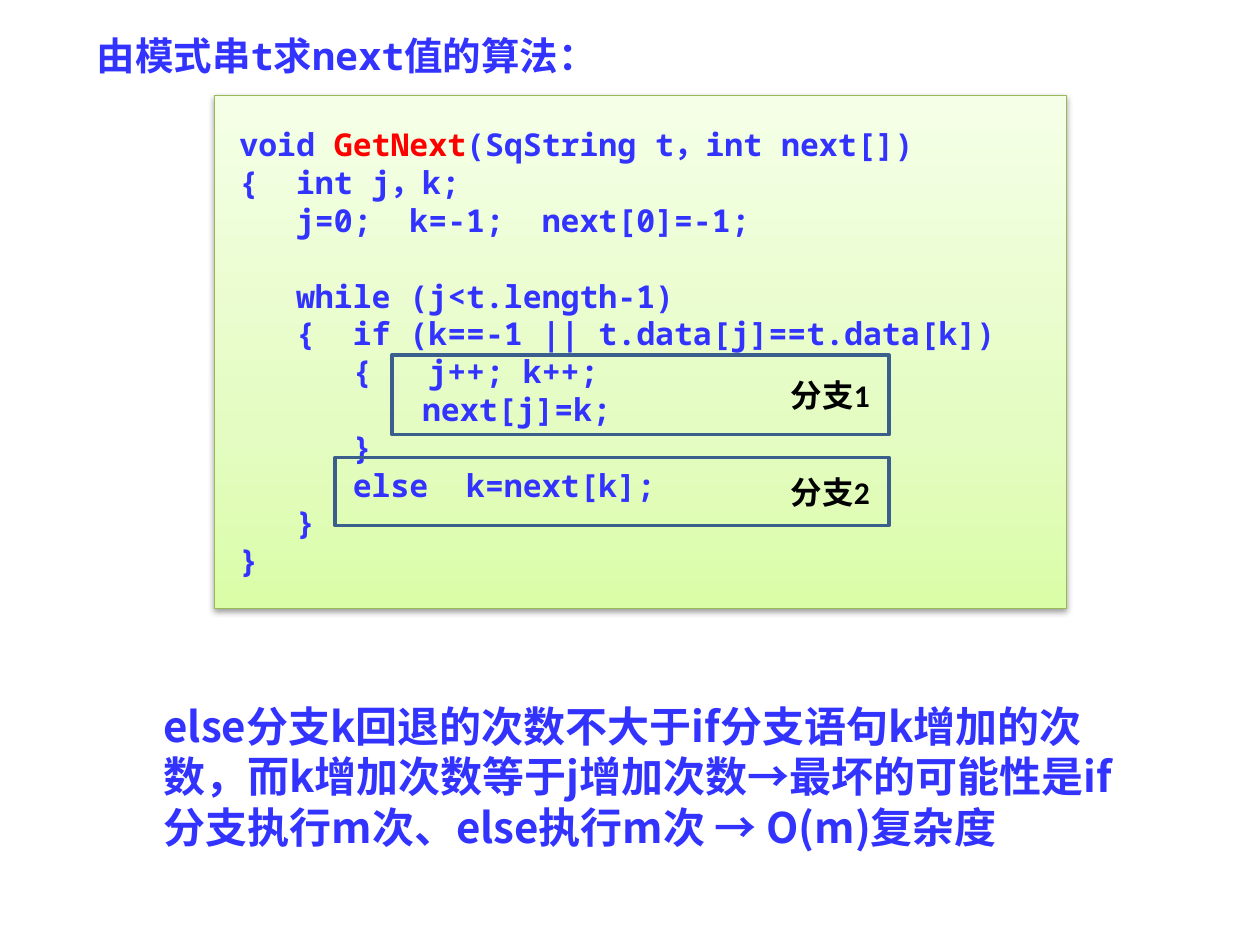
from copy import deepcopy
from dataclasses import dataclass

from lxml import etree
from pptx import Presentation
from pptx.dml.color import RGBColor
from pptx.enum import shapes, text
from pptx.oxml import ns
from pptx.util import Pt

BLUE = RGBColor(0x33, 0x33, 0xFF)
RED = RGBColor(0xFF, 0x00, 0x00)
BLACK = RGBColor(0x00, 0x00, 0x00)
FRAME = RGBColor(0x3A, 0x5F, 0x8C)
CODE_EDGE = RGBColor(0x98, 0xB9, 0x55)
GREEN_DEEP = RGBColor(0xDA, 0xFD, 0xA7)
GREEN_MID = RGBColor(0xE4, 0xFC, 0xC2)
GREEN_PALE = RGBColor(0xF5, 0xFF, 0xE7)
MONO = "Noto Sans Mono"
SANS = "Noto Sans CJK SC"
LABEL_FONT = "Calibri"


@dataclass(frozen=True)
class Rect:
    left: float
    top: float
    width: float
    height: float

    def lengths(self) -> tuple:
        return Pt(self.left), Pt(self.top), Pt(self.width), Pt(self.height)


@dataclass(frozen=True)
class Style:
    font: str
    size: float
    color: RGBColor


@dataclass(frozen=True)
class Branch:
    label: str
    rect: Rect


TITLE = Style(MONO, 22, BLUE)
CODE = Style(MONO, 18, BLUE)
FUNCTION_NAME = Style(MONO, 18, RED)
LABEL = Style(LABEL_FONT, 18, BLACK)
CONCLUSION = Style(SANS, 24, BLUE)

SIGNATURE = [
    ("void ", CODE),
    ("GetNext", FUNCTION_NAME),
    ("(SqString t，int next[])", CODE),
]
LOOP_HEAD = "   while (j<t.length-1)"
CODE_LINES = [
    "{  int j，k;",
    "   j=0;  k=-1;  next[0]=-1;",
    LOOP_HEAD,
    "   {  if (k==-1 || t.data[j]==t.data[k])",
    "      {   j++; k++;",
    "\t   next[j]=k;",
    "      }",
    "      else  k=next[k];",
    "   }",
    "}",
]
BRANCHES = [
    Branch("分支1", Rect(223.9, 203, 284, 45.4)),
    Branch("分支2", Rect(191.5, 261.4, 316.4, 38.9)),
]


def add_span(para, words: str, style: Style) -> None:
    span = para.add_run()
    span.text = words
    span.font.name = style.font
    span.font.size = Pt(style.size)
    span.font.bold = True
    span.font.color.rgb = style.color
    latin = span.font._element.find(ns.qn("a:latin"))
    east_asian = etree.Element(ns.qn("a:ea"), typeface=SANS)
    latin.addnext(east_asian)


def add_tab_stop(para, position: float) -> None:
    tabs = etree.SubElement(para._p.get_or_add_pPr(), ns.qn("a:tabLst"))
    etree.SubElement(tabs, ns.qn("a:tab"), pos=str(Pt(position)), algn="l")


def fill_gradient(shape) -> None:
    shape.fill.gradient()
    shape.fill.gradient_angle = 90
    stop_list = shape._element.spPr.find(ns.qn("a:gradFill")).find(ns.qn("a:gsLst"))
    stop_list.insert(1, deepcopy(stop_list[0]))
    colors = [(0, GREEN_DEEP), (0.35, GREEN_MID), (1, GREEN_PALE)]
    for stop, (position, color) in zip(shape.fill.gradient_stops, colors):
        stop.position = position
        stop.color.rgb = color


def add_shadow(shape) -> None:
    shape.shadow.inherit = False
    effects = shape._element.spPr.find(ns.qn("a:effectLst"))
    outer = etree.SubElement(
        effects, ns.qn("a:outerShdw"), blurRad=str(Pt(3.1)), dist=str(Pt(1.6)),
        dir="5400000", rotWithShape="0")
    color = etree.SubElement(outer, ns.qn("a:srgbClr"), val=str(BLACK))
    etree.SubElement(color, ns.qn("a:alpha"), val="38000")


def add_title(page, words: str, rect: Rect) -> None:
    title = page.shapes.title
    title.left, title.top, title.width, title.height = rect.lengths()
    frame = title.text_frame
    frame.auto_size = text.MSO_AUTO_SIZE.NONE
    frame.vertical_anchor = text.MSO_ANCHOR.TOP
    frame.paragraphs[0].alignment = text.PP_ALIGN.LEFT
    add_span(frame.paragraphs[0], words, TITLE)


def add_code(page, rect: Rect) -> None:
    box = page.shapes.add_shape(shapes.MSO_SHAPE.RECTANGLE, *rect.lengths())
    fill_gradient(box)
    box.line.color.rgb = CODE_EDGE
    box.line.width = Pt(0.75)
    add_shadow(box)
    frame = box.text_frame
    frame.word_wrap = True
    frame.vertical_anchor = text.MSO_ANCHOR.TOP
    frame.margin_left = frame.margin_right = Pt(14.4)
    frame.margin_top = frame.margin_bottom = Pt(17)
    lines = [SIGNATURE] + [[(line, CODE)] for line in CODE_LINES]
    for index, spans in enumerate(lines):
        para = frame.add_paragraph() if index else frame.paragraphs[0]
        para.alignment = text.PP_ALIGN.LEFT
        first_words = spans[0][0]
        if first_words == LOOP_HEAD:
            para.line_spacing = 2.0
        if first_words.startswith("\t"):
            add_tab_stop(para, 72)
        for words, style in spans:
            add_span(para, words, style)


def add_branch(page, branch: Branch) -> None:
    box = page.shapes.add_shape(shapes.MSO_SHAPE.RECTANGLE, *branch.rect.lengths())
    box.shadow.inherit = False
    box.fill.background()
    box.line.color.rgb = FRAME
    box.line.width = Pt(2)
    frame = box.text_frame
    frame.word_wrap = True
    frame.vertical_anchor = text.MSO_ANCHOR.MIDDLE
    frame.margin_right = Pt(10.8)
    para = frame.paragraphs[0]
    para.alignment = text.PP_ALIGN.RIGHT
    add_span(para, branch.label, LABEL)


def add_conclusion(page, words: str, rect: Rect) -> None:
    box = page.shapes.add_textbox(*rect.lengths())
    box.text_frame.word_wrap = True
    add_span(box.text_frame.paragraphs[0], words, CONCLUSION)


def main() -> None:
    deck = Presentation()
    deck.slide_width, deck.slide_height = Pt(720), Pt(540)
    page = deck.slides.add_slide(deck.slide_layouts.get_by_name("Title Only"))
    add_title(page, "由模式串t求next值的算法：", Rect(48.2, 14.8, 334.8, 33.8))
    add_code(page, Rect(122.4, 54.7, 487, 293))
    for branch in BRANCHES:
        add_branch(page, branch)
    add_conclusion(
        page,
        "else分支k回退的次数不大于if分支语句k增加的次数，而k增加次数等于j增加次数"
        "→最坏的可能性是if分支执行m次、else执行m次 → O(m)复杂度",
        Rect(86.4, 396.7, 557.3, 94.3))
    deck.save("out.pptx")


if __name__ == "__main__":
    main()
